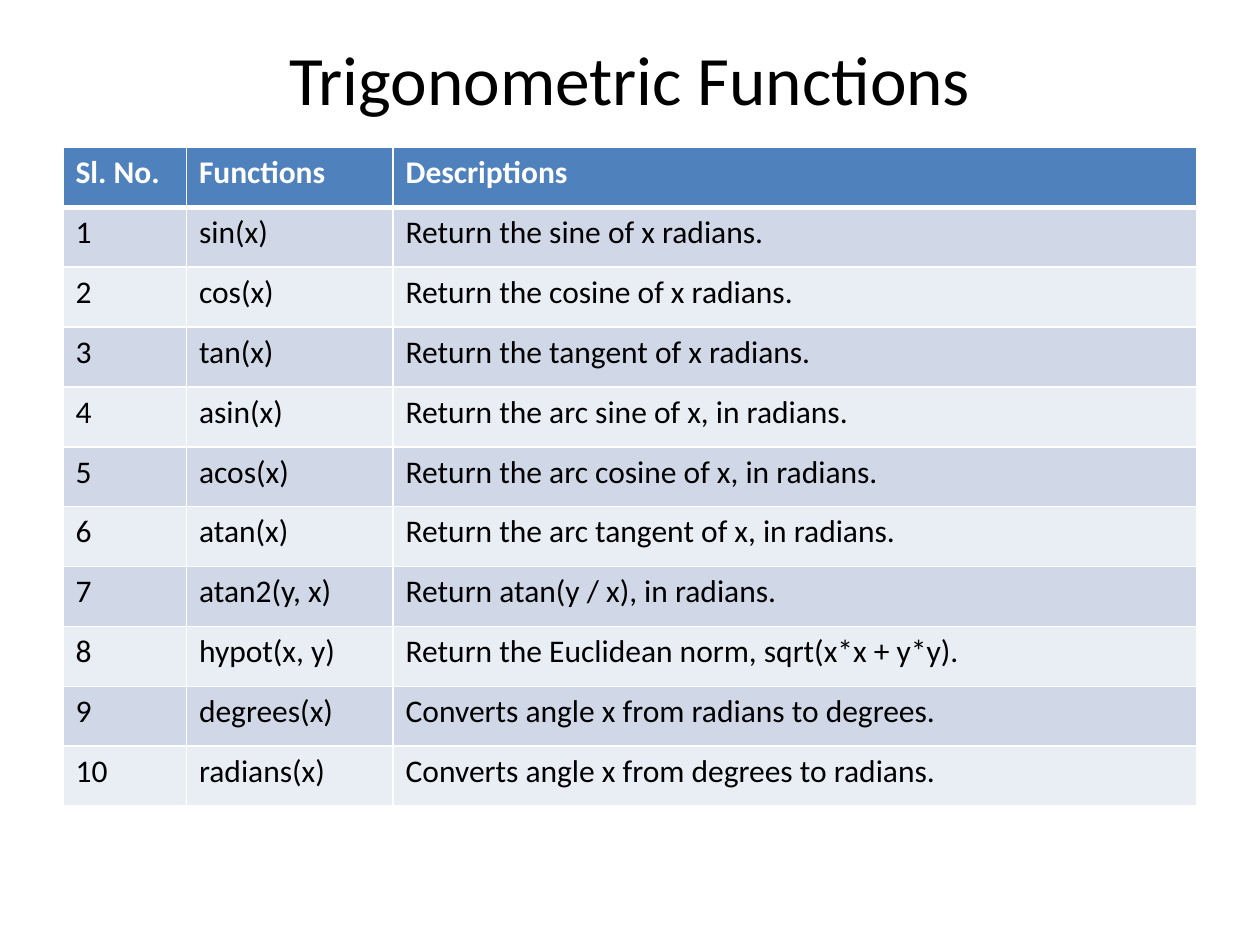
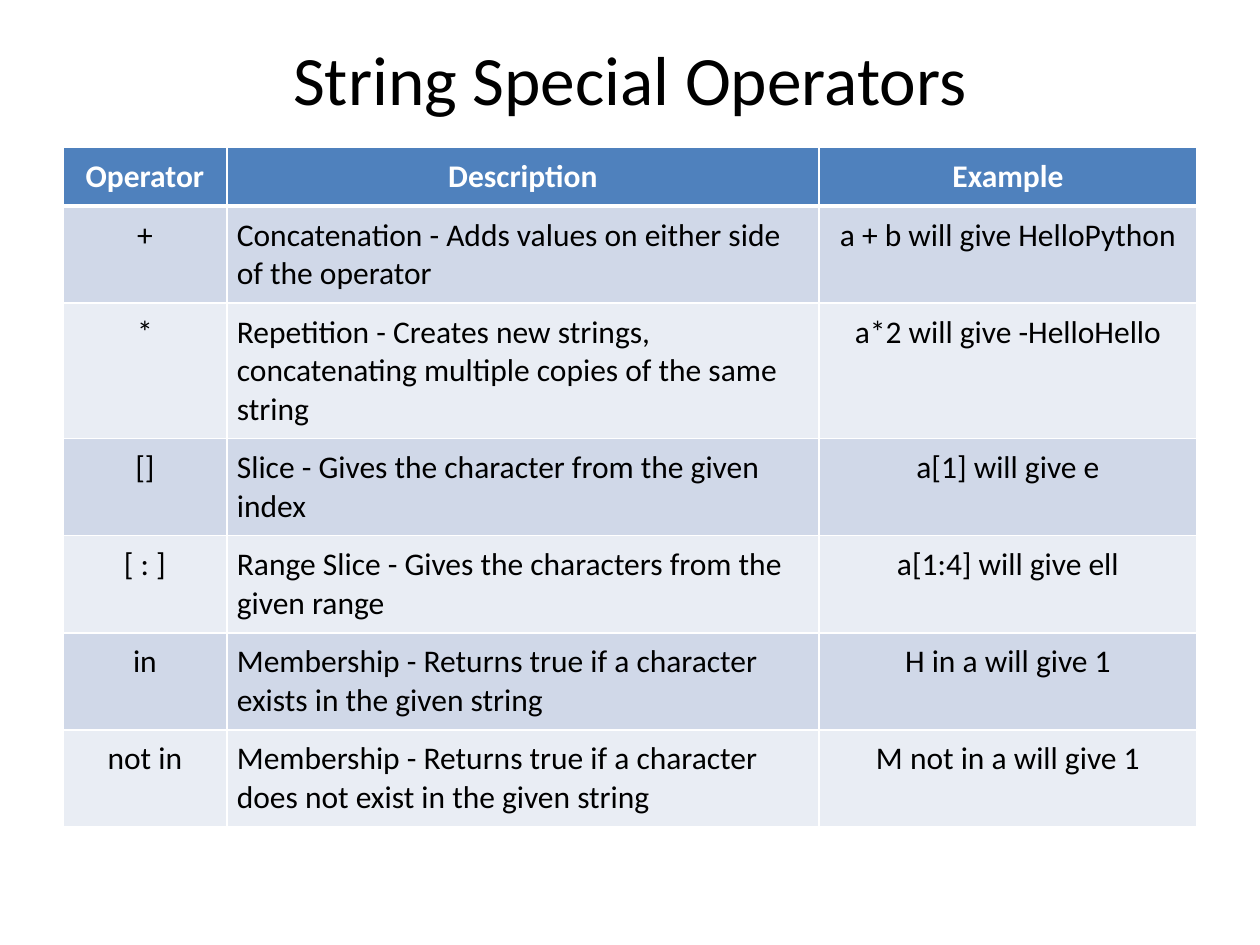
"""Build two reference slides: trigonometric functions and string operators."""
from lxml import etree
from pptx import Presentation
from pptx import util as u
from pptx.dml.color import RGBColor
from pptx.enum import text
from pptx.oxml import ns

FONT = "Calibri"
BLACK = RGBColor(0x00, 0x00, 0x00)
WHITE = RGBColor(0xFF, 0xFF, 0xFF)
HEADER = RGBColor(0x4F, 0x81, 0xBD)
BANDS = (RGBColor(0xE9, 0xED, 0xF4), RGBColor(0xD0, 0xD8, 0xE8))
WIDTH, HEIGHT = u.Inches(10), u.Inches(7.5)
LEFT, CONTENT_WIDTH = int(WIDTH * 0.05), int(WIDTH * 0.9)
TITLE_TOP, TITLE_HEIGHT = u.Inches(0.3), u.Inches(0.64)
TABLE_TOP = u.Inches(1.17)
LEFT_ALIGN, CENTER = text.PP_ALIGN.LEFT, text.PP_ALIGN.CENTER

TRIG_ROWS = [
    ("Sl. No.", "Functions", "Descriptions"),
    ("1", "sin(x)", "Return the sine of x radians."),
    ("2", "cos(x)", "Return the cosine of x radians."),
    ("3", "tan(x)", "Return the tangent of x radians."),
    ("4", "asin(x)", "Return the arc sine of x, in radians."),
    ("5", "acos(x)", "Return the arc cosine of x, in radians."),
    ("6", "atan(x)", "Return the arc tangent of x, in radians."),
    ("7", "atan2(y, x)", "Return atan(y / x), in radians."),
    ("8", "hypot(x, y)", "Return the Euclidean norm, sqrt(x*x + y*y)."),
    ("9", "degrees(x)", "Converts angle x from radians to degrees."),
    ("10", "radians(x)", "Converts angle x from degrees to radians."),
]
OPERATOR_ROWS = [
    ("Operator", "Description", "Example"),
    ("+", "Concatenation - Adds values on either side of the operator",
     "a + b will give HelloPython"),
    ("*", "Repetition - Creates new strings, concatenating multiple copies of the same string",
     "a*2 will give -HelloHello"),
    ("[]", "Slice - Gives the character from the given index", "a[1] will give e"),
    ("[ : ]", "Range Slice - Gives the characters from the given range",
     "a[1:4] will give ell"),
    ("in", "Membership - Returns true if a character exists in the given string",
     "H in a will give 1"),
    ("not in", "Membership - Returns true if a character does not exist in the given string",
     "M not in a will give 1"),
]


def set_attrs(obj, **values):
    """Set each named attribute on an object."""
    for name, value in values.items():
        setattr(obj, name, value)


def write(tf, words, align, size, color, bold=False):
    """Put one formatted paragraph in a text frame."""
    p = tf.paragraphs[0]
    p.alignment = align
    r = p.add_run()
    r.text = words
    set_attrs(r.font, name=FONT, size=u.Pt(size), bold=bold)
    r.font.color.rgb = color


def add_titled_slide(prs, title):
    """Add a title-only slide with its title placed and formatted."""
    s = prs.slides.add_slide(prs.slide_layouts[5])
    sp = s.shapes.title
    set_attrs(sp, left=LEFT, top=TITLE_TOP, width=CONTENT_WIDTH, height=TITLE_HEIGHT)
    set_attrs(sp.text_frame, word_wrap=True, auto_size=text.MSO_AUTO_SIZE.NONE,
              vertical_anchor=text.MSO_ANCHOR.MIDDLE)
    write(sp.text_frame, title, CENTER, 39.6, BLACK)
    return s


def set_borders(cell, row):
    """Draw white cell borders, thicker between header and body."""
    tc_pr = cell._tc.get_or_add_tcPr()
    widths = {"L": 1, "R": 1, "T": 3 if row == 1 else 1, "B": 3 if row == 0 else 1}
    for side, width in widths.items():
        ln = etree.SubElement(tc_pr, ns.qn(f"a:ln{side}"), w=str(u.Pt(width)))
        fill = etree.SubElement(ln, ns.qn("a:solidFill"))
        etree.SubElement(fill, ns.qn("a:srgbClr"), val=str(WHITE))


def format_cell(cell, words, row, align, margin):
    """Fill, border and label one cell according to its row."""
    header = row == 0
    set_borders(cell, row)
    cell.fill.solid()
    cell.fill.fore_color.rgb = HEADER if header else BANDS[row % 2]
    if margin:
        inset = u.Inches(margin)
        set_attrs(cell, margin_left=inset, margin_right=inset,
                  margin_top=inset, margin_bottom=inset)
    write(cell.text_frame, words, align, 18, WHITE if header else BLACK, header)


def add_grid(s, rows, widths, row_height, aligns, header_align, margin=None):
    """Add a banded table with a header row."""
    height = u.Inches(row_height)
    table = s.shapes.add_table(len(rows), len(widths), LEFT, TABLE_TOP,
                               CONTENT_WIDTH, height * len(rows)).table
    set_attrs(table, first_row=False, horz_banding=False)
    for column, width in zip(table.columns, widths):
        column.width = u.Inches(width)
    for i, values in enumerate(rows):
        table.rows[i].height = height
        for j, words in enumerate(values):
            align = header_align if i == 0 else aligns[j]
            format_cell(table.cell(i, j), words, i, align, margin)


def main():
    """Build and save the presentation."""
    prs = Presentation()
    set_attrs(prs, slide_width=WIDTH, slide_height=HEIGHT)
    s = add_titled_slide(prs, "Trigonometric Functions")
    add_grid(s, TRIG_ROWS, (0.98, 1.64, 6.38), 5.23 / len(TRIG_ROWS),
             (LEFT_ALIGN,) * 3, LEFT_ALIGN)
    s = add_titled_slide(prs, "String Special Operators")
    add_grid(s, OPERATOR_ROWS, (1.3, 4.7, 3), 0.41,
             (CENTER, LEFT_ALIGN, CENTER), CENTER, margin=0.08)
    prs.save("out.pptx")


if __name__ == "__main__":
    main()
